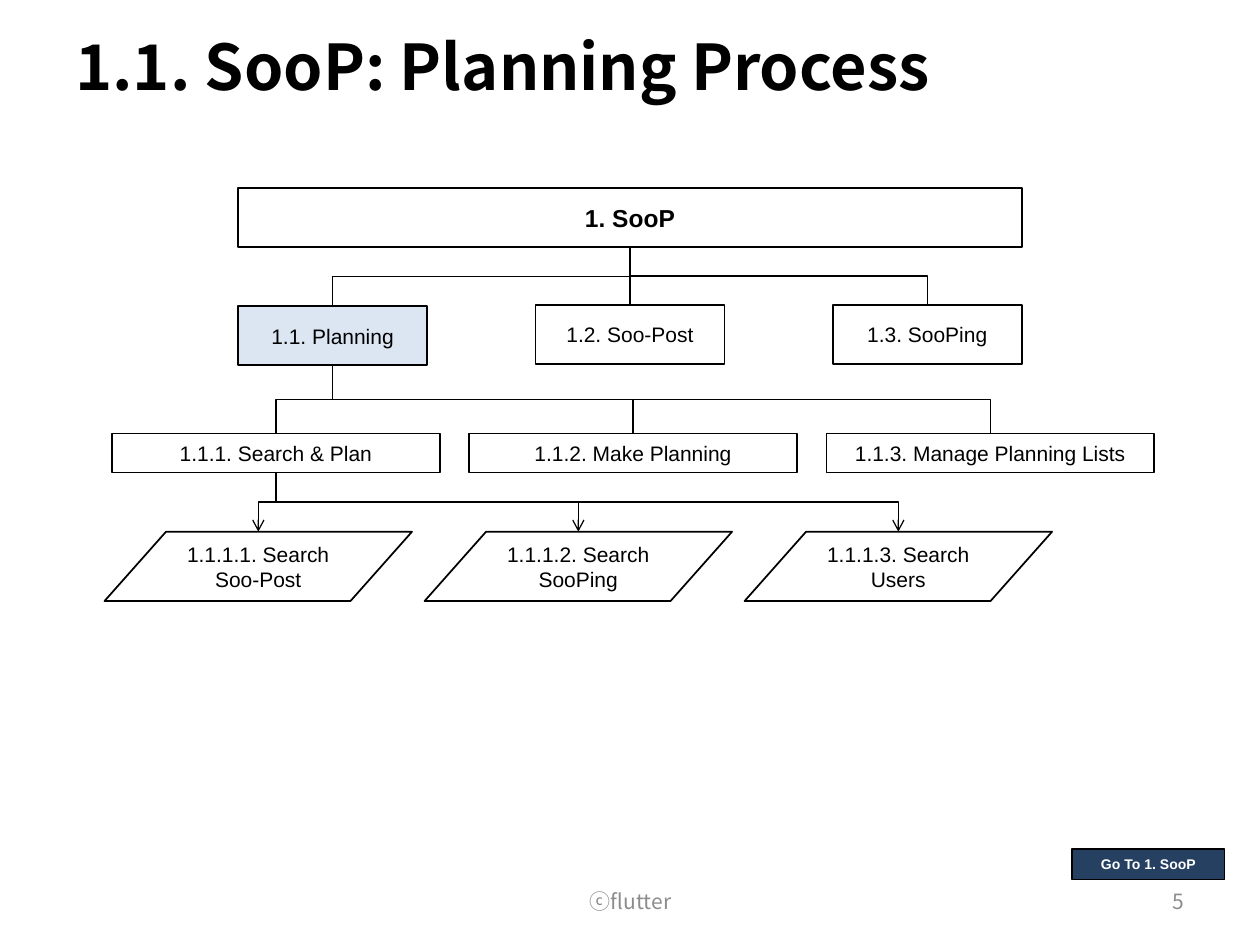
from lxml.etree import SubElement
from pptx import Presentation
from pptx.dml.color import RGBColor
from pptx.enum.shapes import MSO_CONNECTOR, MSO_SHAPE
from pptx.enum.text import MSO_ANCHOR, PP_ALIGN
from pptx.oxml.ns import qn
from pptx.util import Inches, Pt

BLACK = RGBColor(0x00, 0x00, 0x00)
WHITE = RGBColor(0xFF, 0xFF, 0xFF)
GRAY = RGBColor(0x8C, 0x8C, 0x8C)
PALE_BLUE = RGBColor(0xDC, 0xE6, 0xF2)
NAVY = RGBColor(0x25, 0x40, 0x61)
HEADING_FONT = "Noto Sans CJK KR"
BODY_FONT = "Arial"


def write_text(shape, text, size, font, color=BLACK, bold=False, align=PP_ALIGN.CENTER):
    """Fill a shape with one formatted, vertically centred paragraph."""
    frame = shape.text_frame
    frame.word_wrap = True
    frame.vertical_anchor = MSO_ANCHOR.MIDDLE
    para = frame.paragraphs[0]
    para.text = text
    para.alignment = align
    span = para.runs[0]
    span.font.size = Pt(size)
    span.font.bold = bold
    span.font.color.rgb = color
    span.font.name = font
    SubElement(span._r.get_or_add_rPr(), qn("a:ea")).set("typeface", font)


def add_label(slide, box, text, size, **style):
    """Place a heading or footer text in the given box."""
    label = slide.shapes.add_textbox(*map(Inches, box))
    write_text(label, text, size, HEADING_FONT, **style)


def add_node(slide, box, text, kind=MSO_SHAPE.RECTANGLE, fill=None, size=12, **style):
    """Place an outlined shape with its text in the given box."""
    node = slide.shapes.add_shape(kind, *map(Inches, box))
    node.shadow.inherit = False
    if fill is None:
        node.fill.background()
    else:
        node.fill.solid()
        node.fill.fore_color.rgb = fill
    node.line.color.rgb = BLACK
    node.line.width = Pt(1)
    write_text(node, text, size, BODY_FONT, **style)
    return node


def add_row(slide, box, pitch, texts, **style):
    """Place equal nodes at a fixed pitch, starting from the given box."""
    left, top, width, height = box
    return [
        add_node(slide, (left + index * pitch, top, width, height), text, **style)
        for index, text in enumerate(texts)
    ]


def link(slide, parent, child, arrow=False):
    """Join the bottom of a parent to the top of a child, bending halfway."""
    start_x, start_y = parent.left + parent.width // 2, parent.top + parent.height
    end_x, end_y = child.left + child.width // 2, child.top
    if abs(end_x - start_x) < Inches(0.01):
        line = slide.shapes.add_connector(
            MSO_CONNECTOR.STRAIGHT, start_x, start_y, start_x, end_y)
    else:
        middle_x, middle_y = (start_x + end_x) // 2, (start_y + end_y) // 2
        half_drop, half_span = (end_y - start_y) // 2, abs(end_x - start_x) // 2
        side = 1 if end_x > start_x else -1
        line = slide.shapes.add_connector(
            MSO_CONNECTOR.ELBOW,
            middle_x + side * half_drop, middle_y - half_span,
            middle_x - side * half_drop, middle_y + half_span)
        angle = 270 if side > 0 else 90
        line._element.spPr.find(qn("a:xfrm")).set("rot", str(angle * 60000))
    line.line.color.rgb = BLACK
    line.line.width = Pt(0.75)
    if arrow:
        SubElement(line.line._get_or_add_ln(), qn("a:tailEnd")).set("type", "arrow")
    SubElement(line._element.spPr, qn("a:effectLst"))


def add_process_tree(slide, box):
    """Draw the four-level process tree inside the given box."""
    left, top, width, height = box
    root = add_node(slide, (left + 1.06, top, 6.22, 0.47), "1. SooP", size=14, bold=True)
    planning = add_node(slide, (left + 1.06, top + 0.94, 1.5, 0.47),
                        "1.1. Planning", fill=PALE_BLUE)
    modules = [planning] + add_row(
        slide, (left + 3.42, top + 0.93, 1.5, 0.47), 2.36,
        ["1.2. Soo-Post", "1.3. SooPing"])
    tasks = add_row(
        slide, (left + 0.06, top + 1.95, 2.6, 0.31), 2.835,
        ["1.1.1. Search & Plan", "1.1.2. Make Planning", "1.1.3. Manage Planning Lists"])
    searches = add_row(
        slide, (left, top + height - 0.55, 2.44, 0.55), 2.54,
        ["1.1.1.1. Search Soo-Post", "1.1.1.2. Search SooPing", "1.1.1.3. Search Users"],
        kind=MSO_SHAPE.FLOWCHART_DATA)
    for parent, children in ((root, modules), (planning, tasks), (tasks[0], searches)):
        for child in children:
            link(slide, parent, child, arrow=children is searches)


def add_footer(slide, box):
    """Place the button, the copyright text and the page number."""
    left, top, width, height = box
    add_node(slide, (left + 8.01, top - 0.21, 1.21, 0.24), "Go To 1. SooP",
             fill=NAVY, size=8, color=WHITE, bold=True)
    add_label(slide, (left + 2.92, top, 3.17, height), "ⓒflutter", 12, color=GRAY)
    add_label(slide, (left + width - 2.33, top, 2.33, height), "5", 12,
              color=GRAY, align=PP_ALIGN.RIGHT)


def main():
    """Build the slide and save it."""
    deck = Presentation()
    deck.slide_width, deck.slide_height = Inches(10), Inches(7.5)
    page = deck.slides.add_slide(deck.slide_layouts[6])
    add_label(page, (0.5, 0.13, 9, 0.77), "1.1. SooP: Planning Process", 36,
              bold=True, align=PP_ALIGN.LEFT)
    add_process_tree(page, (0.83, 1.49, 8.33, 3.28))
    add_footer(page, (0.5, 6.95, 9, 0.4))
    deck.save("out.pptx")


if __name__ == "__main__":
    main()
